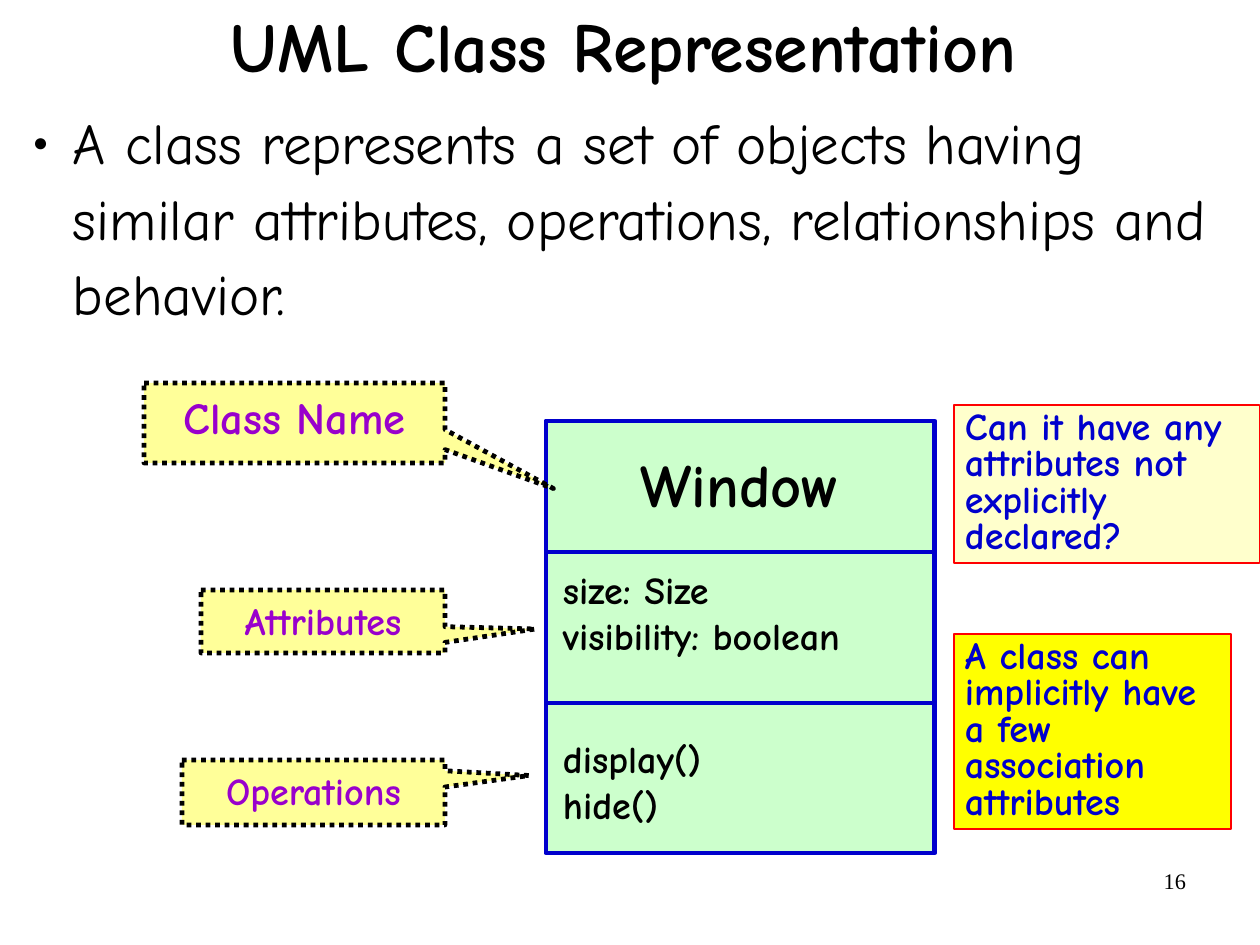
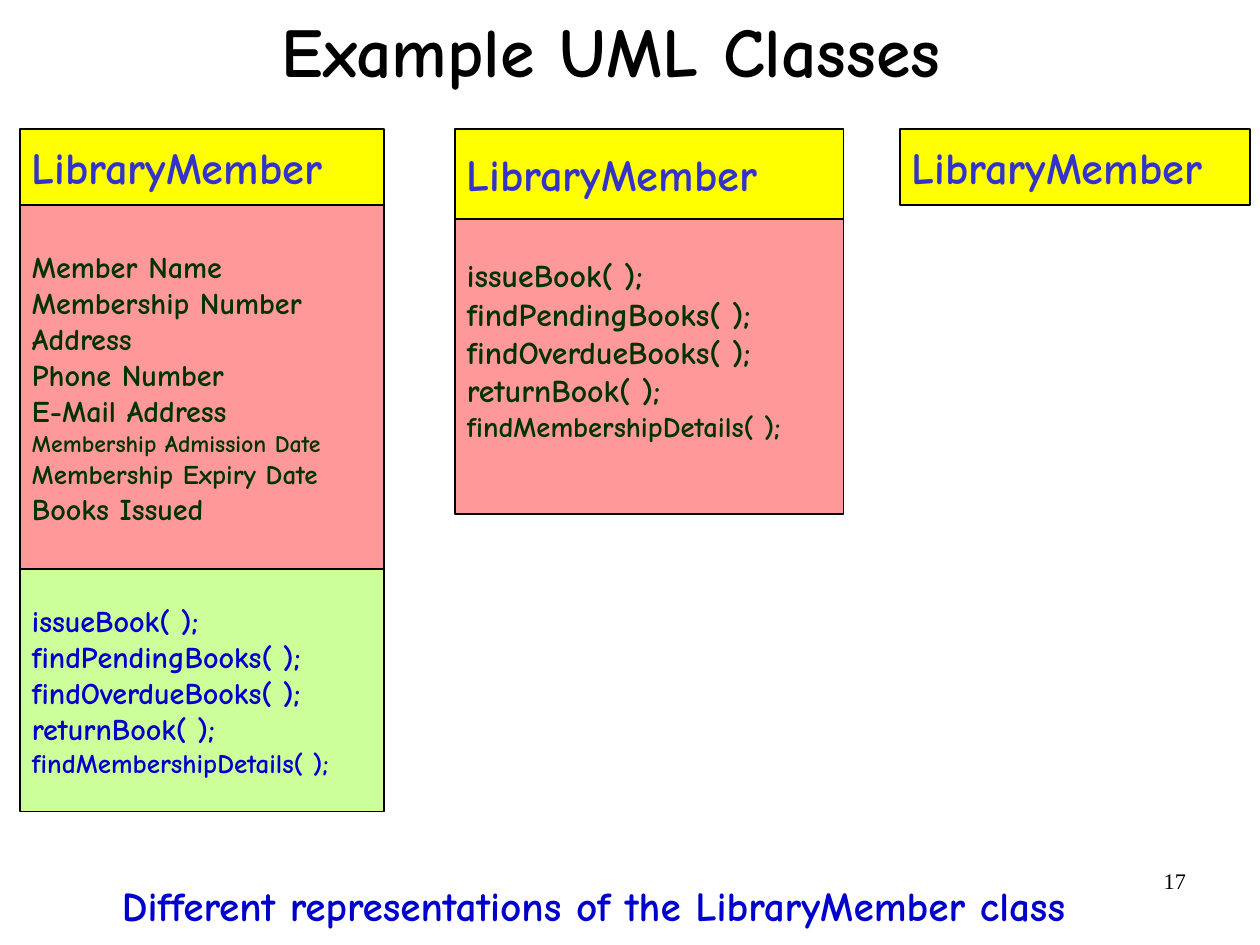
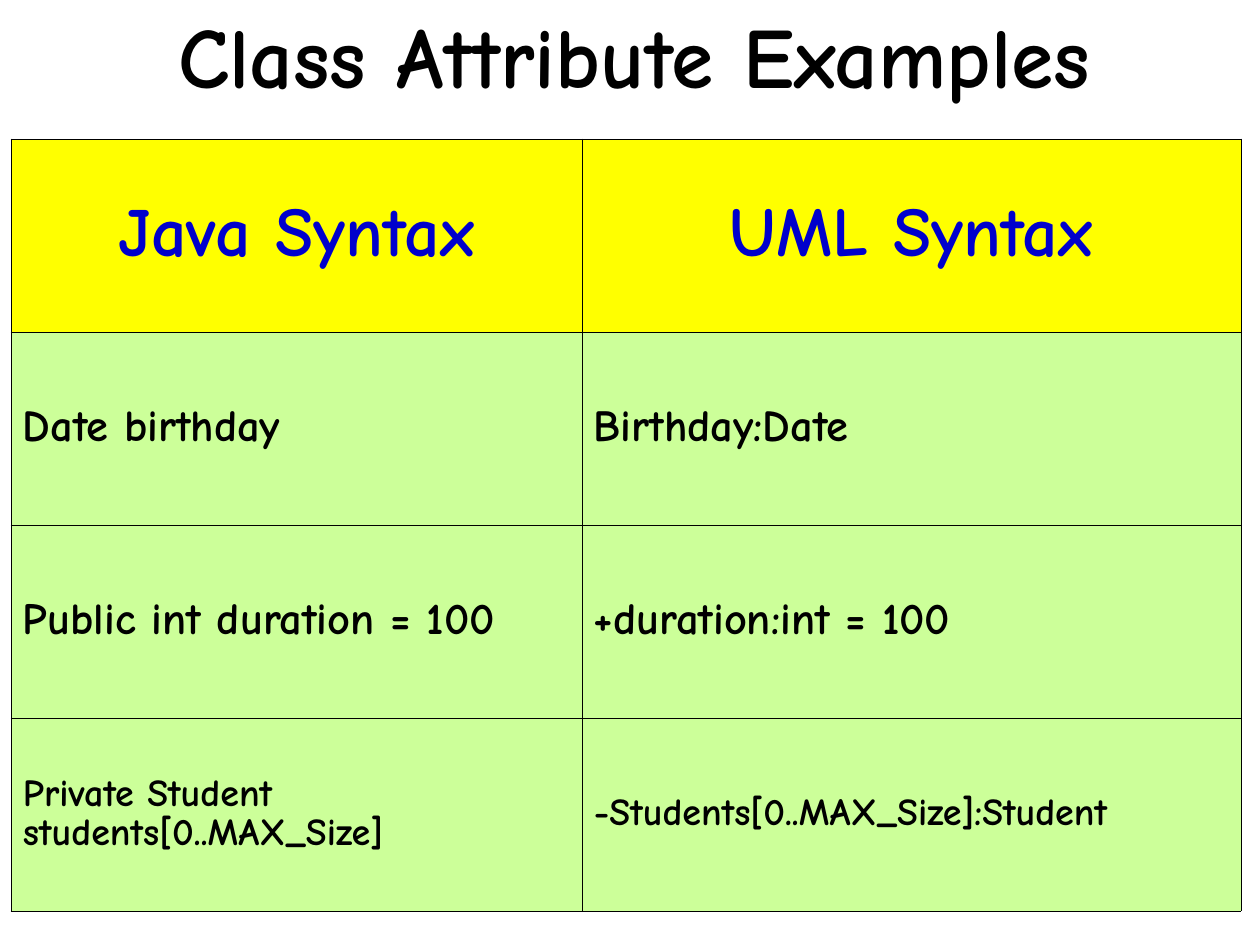
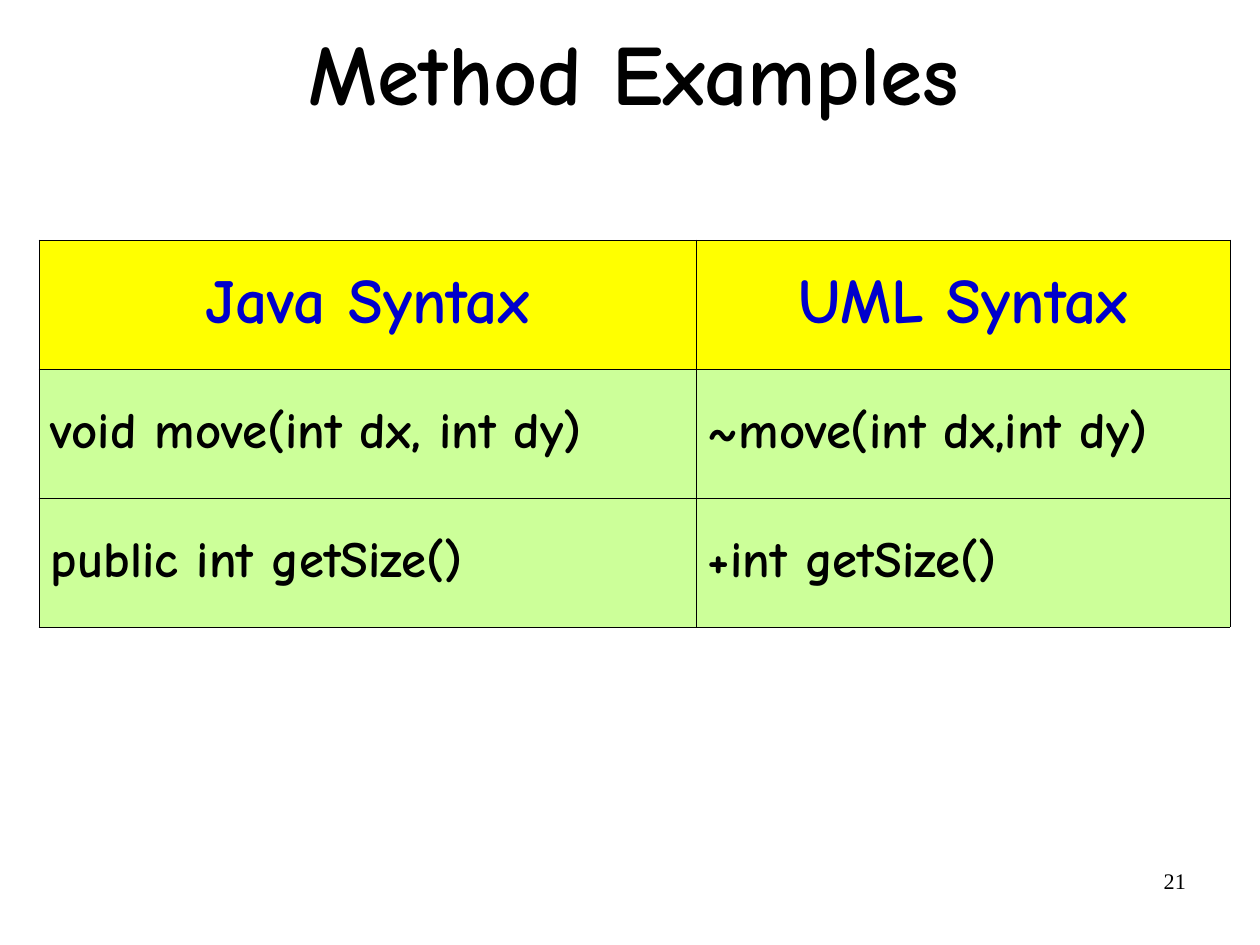
from lxml import etree
from pptx import Presentation
from pptx.dml.color import RGBColor
from pptx.enum.dml import MSO_LINE
from pptx.enum.shapes import MSO_CONNECTOR, MSO_SHAPE
from pptx.enum.text import MSO_ANCHOR, MSO_AUTO_SIZE, PP_ALIGN
from pptx.oxml.ns import qn
from pptx.util import Pt

PX = 8000  # EMU in one px
FONT = "Comic Neue"
NUMBER_FONT = "Times New Roman"

BLACK = RGBColor(0x00, 0x00, 0x00)
BLUE = RGBColor(0x00, 0x00, 0xCC)
INDIGO = RGBColor(0x33, 0x33, 0xCC)
PURPLE = RGBColor(0x99, 0x00, 0xCC)
RED = RGBColor(0xFF, 0x00, 0x00)
DARK_GREEN = RGBColor(0x00, 0x33, 0x00)
MINT = RGBColor(0xCC, 0xFF, 0xCC)
LIME = RGBColor(0xCC, 0xFF, 0x99)
PINK = RGBColor(0xFF, 0x99, 0x99)
YELLOW = RGBColor(0xFF, 0xFF, 0x00)
PALE_YELLOW = RGBColor(0xFF, 0xFF, 0x99)
CREAM = RGBColor(0xFF, 0xFF, 0xCC)


def write(frame, lines, size, color=BLACK, bold=True, align=PP_ALIGN.LEFT,
          anchor=MSO_ANCHOR.TOP, margins=(12, 7), spacing=1.0, after=0,
          font=FONT, small={}):
    """Fill a text frame; small maps a line to its own size."""
    frame.text = "\n".join(lines)
    frame.word_wrap = True
    frame.auto_size = MSO_AUTO_SIZE.NONE
    frame.vertical_anchor = anchor
    frame.margin_left = frame.margin_right = margins[0] * PX
    frame.margin_top = frame.margin_bottom = margins[1] * PX
    for para in frame.paragraphs:
        para.alignment = align
        para.line_spacing = spacing
        para.space_before = Pt(0)
        para.space_after = Pt(after)
        for span in para.runs:
            span.font.name = font
            span.font.size = Pt(small.get(span.text, size))
            span.font.bold = bold
            span.font.color.rgb = color


def add_box(page, place, fill, line, width=0.75, kind=MSO_SHAPE.RECTANGLE):
    box = page.shapes.add_shape(kind, *[n * PX for n in place])
    box.shadow.inherit = False
    box.fill.solid()
    box.fill.fore_color.rgb = fill
    box.line.color.rgb = line
    box.line.width = Pt(width)
    return box


deck = Presentation()
deck.slide_width = 1260 * PX
deck.slide_height = 945 * PX

# Pages with their titles and page numbers
TITLE_AND_BODY, TITLE_ONLY = 1, 5
pages = []
for layout, title, size, place, number in [
    (TITLE_AND_BODY, "UML Class Representation", 44, (87, 0, 1074, 101), "16"),
    (TITLE_ONLY, "Example UML Classes", 44, (53, 0, 1117, 111), "17"),
    (TITLE_ONLY, "Class Attribute Examples", 54, (97, 0, 1074, 122), None),
    (TITLE_ONLY, "Method Examples", 54, (97, 0, 1074, 157), "21"),
]:
    page = deck.slides.add_slide(deck.slide_layouts[layout])
    pages.append(page)
    heading = page.shapes.title
    heading.left, heading.top, heading.width, heading.height = [n * PX for n in place]
    write(heading.text_frame, [title], size, align=PP_ALIGN.CENTER,
          anchor=MSO_ANCHOR.MIDDLE, margins=(0, 0), spacing=0.88)
    if number:
        box = page.shapes.add_textbox(*[n * PX for n in (903, 861, 294, 65)])
        write(box.text_frame, [number], 14, bold=False, align=PP_ALIGN.RIGHT,
              margins=(11, 6), font=NUMBER_FONT)

# Slide 1: definition
page = pages[0]
body = page.placeholders[1]
body.left, body.top, body.width, body.height = [n * PX for n in (20, 101, 1220, 261)]
write(body.text_frame,
      ["A class represents a set of objects having similar attributes, "
       "operations, relationships and behavior."],
      36, bold=False, margins=(0, 0), spacing=1.1, after=14)
properties = body.text_frame.paragraphs[0]._p.get_or_add_pPr()
properties.set("marL", str(53 * PX))
properties.set("indent", str(-40 * PX))
bullet_color = etree.SubElement(properties, qn("a:buClr"))
etree.SubElement(bullet_color, qn("a:srgbClr"), val=str(BLACK))
etree.SubElement(properties, qn("a:buSzPct"), val="45000")
etree.SubElement(properties, qn("a:buChar"), char="●")

# Slide 1: class diagram
add_box(page, (546, 421, 389, 432), MINT, BLUE, 3)
for y in (552, 703):
    divider = page.shapes.add_connector(
        MSO_CONNECTOR.STRAIGHT, 546 * PX, y * PX, 935 * PX, y * PX)
    divider.line.color.rgb = BLUE
    divider.line.width = Pt(3)
    etree.SubElement(divider._element.spPr, qn("a:effectLst"))

class_name = page.shapes.add_textbox(*[n * PX for n in (563, 440, 354, 85)])
write(class_name.text_frame, ["Window"], 38, align=PP_ALIGN.CENTER)
for y, members in [
    (567, ["size: Size", "visibility: boolean"]),
    (736, ["display()", "hide()"]),
]:
    box = page.shapes.add_textbox(*[n * PX for n in (563, y, 354, 91)])
    write(box.text_frame, members, 24, anchor=MSO_ANCHOR.MIDDLE, margins=(0, 0))

# Slide 1: callouts
for place, tip, text, size in [
    ((144, 383, 301, 80), (0.86, 0.82), "Class Name", 28),
    ((201, 590, 244, 63), (0.87, 0.12), "Attributes", 24),
    ((182, 760, 263, 65), (0.82, -0.26), "Operations", 24),
]:
    callout = add_box(page, place, PALE_YELLOW, BLACK, 3,
                      MSO_SHAPE.RECTANGULAR_CALLOUT)
    callout.line.dash_style = MSO_LINE.ROUND_DOT
    callout.adjustments[0], callout.adjustments[1] = tip
    write(callout.text_frame, [text], size, PURPLE, align=PP_ALIGN.CENTER)

# Slide 1: question and answer
for place, fill, text in [
    ((954, 634, 277, 195), YELLOW,
     "A class can implicitly have a few association attributes"),
    ((954, 405, 306, 158), CREAM,
     "Can it have any attributes not explicitly declared?"),
]:
    note = add_box(page, place, fill, RED)
    write(note.text_frame, [text], 24, BLUE, margins=(11, 6), spacing=0.8)

# Slide 2: three class boxes, compartments stacked from one top edge
page = pages[1]
name = ["LibraryMember"]
attributes = [
    "Member Name", "Membership Number", "Address", "Phone Number",
    "E-Mail Address", "Membership Admission Date", "Membership Expiry Date",
    "Books Issued",
]
operations = [
    "issueBook( );", "findPendingBooks( );", "findOverdueBooks( );",
    "returnBook( );", "findMembershipDetails( );",
]
small = {"Membership Admission Date": 15, "Membership Expiry Date": 17}
for left, width, compartments in [
    (20, 364, [(76, YELLOW, INDIGO, name, 28, 7),
               (364, PINK, DARK_GREEN, attributes, 19, 7),
               (243, LIME, BLUE, operations, 19, 7)]),
    (455, 389, [(90, YELLOW, INDIGO, name, 28, 7),
                (295, PINK, DARK_GREEN, operations, 20, 41)]),
    (900, 350, [(76, YELLOW, INDIGO, name, 28, 7)]),
]:
    top = 129
    for height, fill, color, lines, size, bottom_margin in compartments:
        box = add_box(page, (left, top, width, height), fill, BLACK)
        write(box.text_frame, lines, size, color, anchor=MSO_ANCHOR.MIDDLE,
              small={**small, "findMembershipDetails( );": size - 2})
        box.text_frame.margin_bottom = bottom_margin * PX
        top += height

caption = page.shapes.add_textbox(*[n * PX for n in (110, 873, 990, 62)])
write(caption.text_frame,
      ["Different representations of the LibraryMember class"], 26, BLUE)

# Slides 3 and 4: syntax tables
HEADER = ("Java Syntax", "UML Syntax")
for page, left, top, widths, height, rows in [
    (pages[2], 11, 139, (571, 659), 193, [
        (44, HEADER),
        (28, ("Date birthday", "Birthday:Date")),
        (28, ("Public int duration = 100", "+duration:int = 100")),
        (24, ("Private Student students[0..MAX_Size]",
              "-Students[0..MAX_Size]:Student")),
    ]),
    (pages[3], 39, 240, (657, 534), 129, [
        (40, HEADER),
        (32, ("void move(int dx, int dy)", "~move(int dx,int dy)")),
        (32, ("public int getSize()", "+int getSize()")),
    ]),
]:
    table = page.shapes.add_table(
        len(rows), len(widths), left * PX, top * PX,
        sum(widths) * PX, len(rows) * height * PX).table
    table.first_row = table.horz_banding = False
    for column, width in zip(table.columns, widths):
        column.width = width * PX
    for r, (size, texts) in enumerate(rows):
        for c, text in enumerate(texts):
            cell = table.cell(r, c)
            write(cell.text_frame, [text], size, BLACK if r else BLUE,
                  align=PP_ALIGN.LEFT if r else PP_ALIGN.CENTER,
                  spacing=0.88, after=13.8)
            cell.vertical_anchor = MSO_ANCHOR.MIDDLE
            cell.margin_left = cell.margin_right = 12 * PX
            cell.margin_top = cell.margin_bottom = 6 * PX
            # Borders come before the fill in the cell properties
            cell_properties = cell._tc.get_or_add_tcPr()
            for side in ("a:lnL", "a:lnR", "a:lnT", "a:lnB"):
                border = etree.SubElement(cell_properties, qn(side),
                                          w=str(Pt(0.45)))
                paint = etree.SubElement(border, qn("a:solidFill"))
                etree.SubElement(paint, qn("a:srgbClr"), val=str(BLACK))
            cell.fill.solid()
            cell.fill.fore_color.rgb = LIME if r else YELLOW

deck.save("out.pptx")
